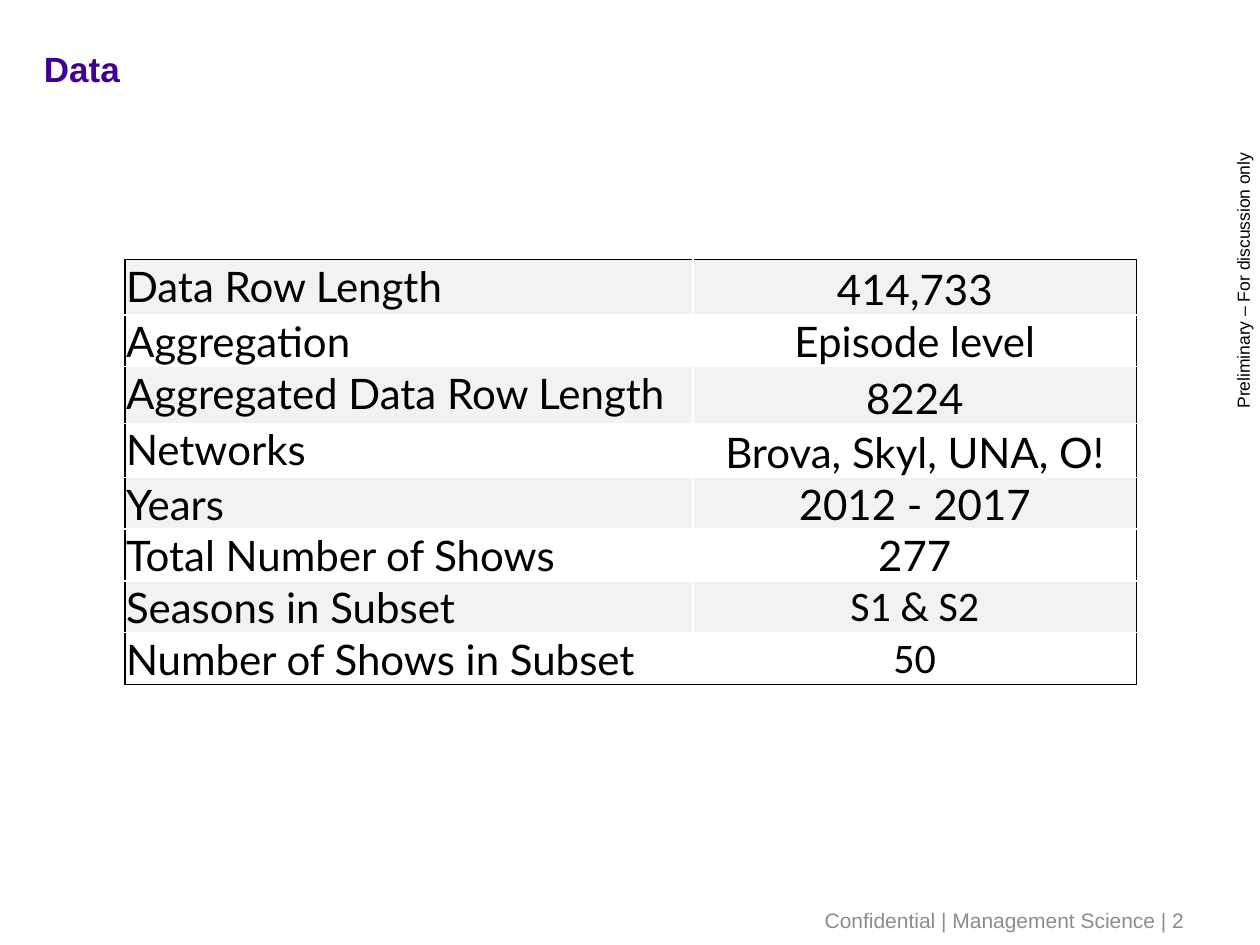
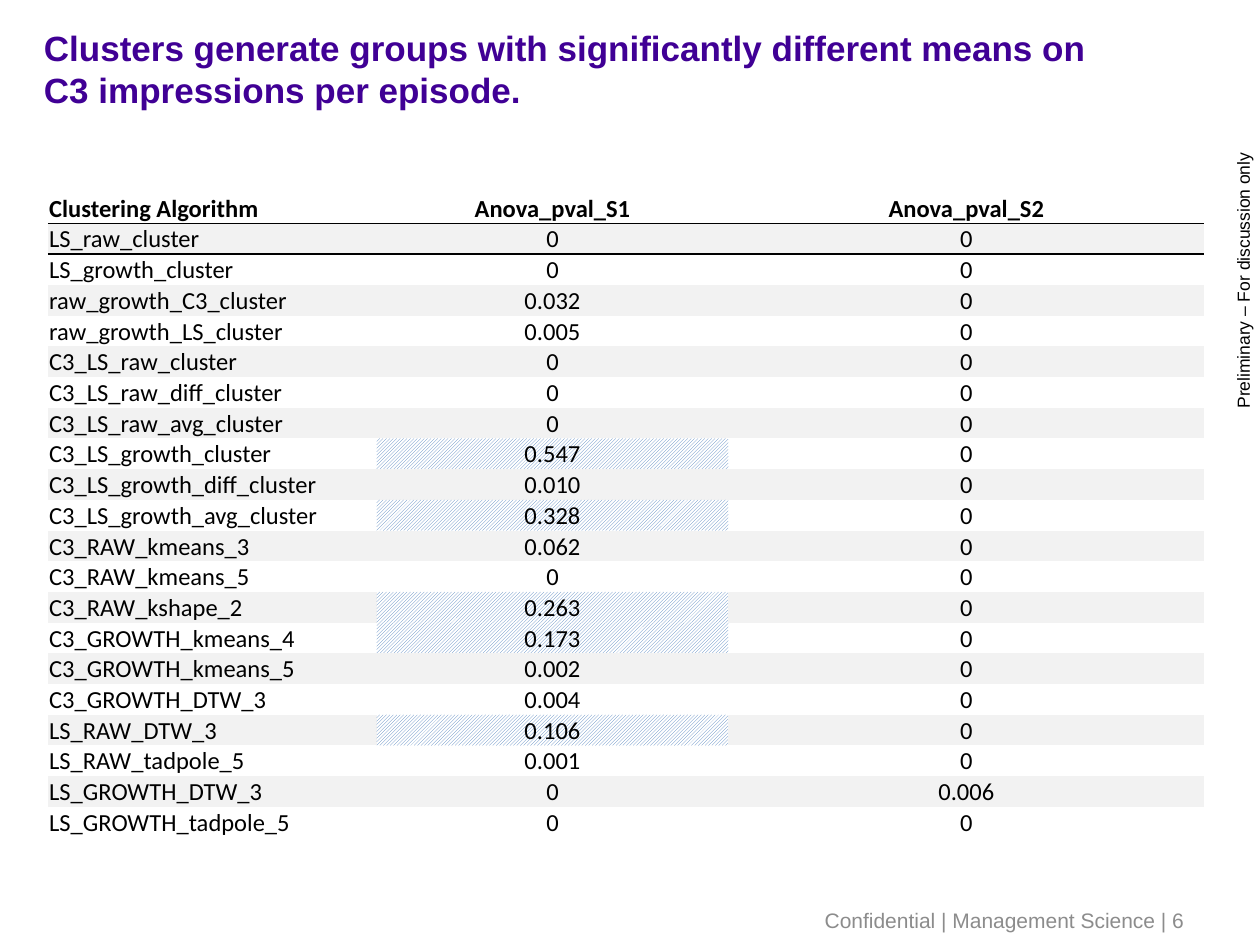
from dataclasses import dataclass

from lxml.etree import SubElement as Sub
from pptx import Presentation
from pptx.dml.color import RGBColor as RGB
from pptx.enum.dml import MSO_PATTERN as Pattern
from pptx.enum.text import MSO_ANCHOR as Anchor, PP_ALIGN as Align
from pptx.oxml.ns import qn
from pptx.util import Inches, Pt


@dataclass(frozen=True)
class Theme:
    title: str = "400095"
    ink: str = "000000"
    grey: str = "8C8C8C"
    band: str = "F2F2F2"
    paper: str = "FFFFFF"
    hatch: str = "4F81BD"
    sans: str = "Arial"
    body: str = "Calibri"
    fact: str = "Lato"
    head_pt: int = 20
    foot_pt: int = 12
    note_pt: int = 10
    fact_pt: int = 24
    grid_pt: int = 14
    plain: str = "{2D5ABB26-0587-4C30-8999-92F81FD0307C}"


T = Theme()

FACTS = [
    ("Data Row Length", "414,733", 0.44),
    ("Aggregation", "Episode level", 0.41),
    ("Aggregated Data Row Length", "8224", 0.45),
    ("Networks", "Brova, Skyl, UNA, O!", 0.43),
    ("Years", "2012 - 2017", 0.41),
    ("Total Number of Shows", "277", 0.41),
    ("Seasons in Subset", "S1 & S2", 0.4),
    ("Number of Shows in Subset", "50", 0.4),
]

HEADS = ("Clustering Algorithm", "Anova_pval_S1", "Anova_pval_S2")
TESTS = [
    ("LS_raw_cluster", "0", "0"),
    ("LS_growth_cluster", "0", "0"),
    ("raw_growth_C3_cluster", "0.032", "0"),
    ("raw_growth_LS_cluster", "0.005", "0"),
    ("C3_LS_raw_cluster", "0", "0"),
    ("C3_LS_raw_diff_cluster", "0", "0"),
    ("C3_LS_raw_avg_cluster", "0", "0"),
    ("C3_LS_growth_cluster", "0.547", "0"),
    ("C3_LS_growth_diff_cluster", "0.010", "0"),
    ("C3_LS_growth_avg_cluster", "0.328", "0"),
    ("C3_RAW_kmeans_3", "0.062", "0"),
    ("C3_RAW_kmeans_5", "0", "0"),
    ("C3_RAW_kshape_2", "0.263", "0"),
    ("C3_GROWTH_kmeans_4", "0.173", "0"),
    ("C3_GROWTH_kmeans_5", "0.002", "0"),
    ("C3_GROWTH_DTW_3", "0.004", "0"),
    ("LS_RAW_DTW_3", "0.106", "0"),
    ("LS_RAW_tadpole_5", "0.001", "0"),
    ("LS_GROWTH_DTW_3", "0", "0.006"),
    ("LS_GROWTH_tadpole_5", "0", "0"),
]
LIMIT = 0.1


def style(para, size, face, color, bold=False, align=Align.LEFT):
    font = para.font
    font.size, font.name, font.bold = Pt(size), face, bold
    font.color.rgb = RGB.from_string(color)
    para.alignment = align


def label(slide, box, text, *look, wrap=True, **more):
    shape = slide.shapes.add_textbox(*map(Inches, box))
    frame = shape.text_frame
    frame.word_wrap = wrap
    frame.vertical_anchor = Anchor.MIDDLE
    frame.text = text
    style(frame.paragraphs[0], *look, **more)
    return shape


def base(deck, title, width, number):
    slide = deck.slides.add_slide(deck.slide_layouts[6])
    note = label(slide, (8.74, 2.08, 2.25, 0.27),
                 "Preliminary – For discussion only",
                 T.note_pt, T.sans, T.ink, wrap=False)
    note.rotation = 270
    label(slide, (0.25, 0, width, 1.08), title,
          T.head_pt, T.sans, T.title, bold=True)
    label(slide, (6.13, 7.1, 3.37, 0.4),
          f"Confidential | Management Science | {number}",
          T.foot_pt, T.sans, T.grey, align=Align.RIGHT)
    return slide


def grid(slide, left, top, cols, rows):
    sizes = map(Inches, (left, top, sum(cols), sum(rows)))
    frame = slide.shapes.add_table(len(rows), len(cols), *sizes)
    table = frame.table
    table.first_row = table.horz_banding = False
    next(table._tbl.iter(qn("a:tableStyleId"))).text = T.plain
    for col, width in zip(table.columns, cols):
        col.width = Inches(width)
    for row, height in zip(table.rows, rows):
        row.height = Inches(height)
    return table


def edge(cell, **sides):
    props = cell._tc.get_or_add_tcPr()
    for side in "LRTB":
        if side in sides:
            line = Sub(props, qn(f"a:ln{side}"), w=str(Pt(1)))
            fill = Sub(line, qn("a:solidFill"))
            Sub(fill, qn("a:srgbClr"), val=sides[side])


def paint(cell, color):
    cell.fill.solid()
    cell.fill.fore_color.rgb = RGB.from_string(color)


def hatch(cell):
    fill = cell.fill
    fill.patterned()
    fill.pattern = Pattern.LIGHT_UPWARD_DIAGONAL
    fill.fore_color.rgb = RGB.from_string(T.hatch)
    fill.back_color.rgb = RGB.from_string(T.paper)


def write(cell, text, *look, anchor=Anchor.BOTTOM, **more):
    cell.margin_left = cell.margin_right = cell.margin_top = Inches(0.01)
    cell.margin_bottom = 0
    cell.vertical_anchor = anchor
    cell.text = text
    style(cell.text_frame.paragraphs[0], *look, **more)


def facts(slide, left, top):
    table = grid(slide, left, top, (4.51, 3.52), [row[2] for row in FACTS])
    last = len(FACTS) - 1
    for i, (name, value, _) in enumerate(FACTS):
        key, val = table.cell(i, 0), table.cell(i, 1)
        ends = {"T": T.paper if i else T.ink,
                "B": T.ink if i == last else T.paper}
        edge(key, L=T.ink, R=T.paper, **ends)
        edge(val, L=T.paper, R=T.ink, **ends)
        for cell in (key, val):
            paint(cell, T.paper if i % 2 else T.band)
        write(key, name, T.fact_pt, T.fact, T.ink, anchor=Anchor.TOP)
        face = T.body if i >= last - 1 else T.fact
        write(val, value, T.fact_pt, face, T.ink, align=Align.CENTER)


def tests(slide, left, top, height):
    lines = [HEADS, *TESTS]
    count = len(lines)
    table = grid(slide, left, top, (2.61, 2.79, 3.78), [height / count] * count)
    for i, line in enumerate(lines):
        for j, text in enumerate(line):
            cell = table.cell(i, j)
            if i == 0:
                edge(cell, B=T.ink)
            elif i == 1:
                edge(cell, T=T.ink)
            if i and j and float(text) > LIMIT:
                hatch(cell)
            elif i % 2:
                paint(cell, T.band)
            else:
                cell.fill.background()
            write(cell, text, T.grid_pt, T.body, T.ink, bold=i == 0,
                  align=Align.CENTER if j else Align.LEFT)


def main():
    deck = Presentation()
    deck.slide_width, deck.slide_height = Inches(10), Inches(7.5)
    facts(base(deck, "Data", 9.3, 2), 0.99, 2.06)
    title = ("Clusters generate groups with significantly different means "
             "on C3 impressions per episode.")
    tests(base(deck, title, 8.72, 6), 0.38, 1.53, 5.12)
    deck.save("out.pptx")


if __name__ == "__main__":
    main()
